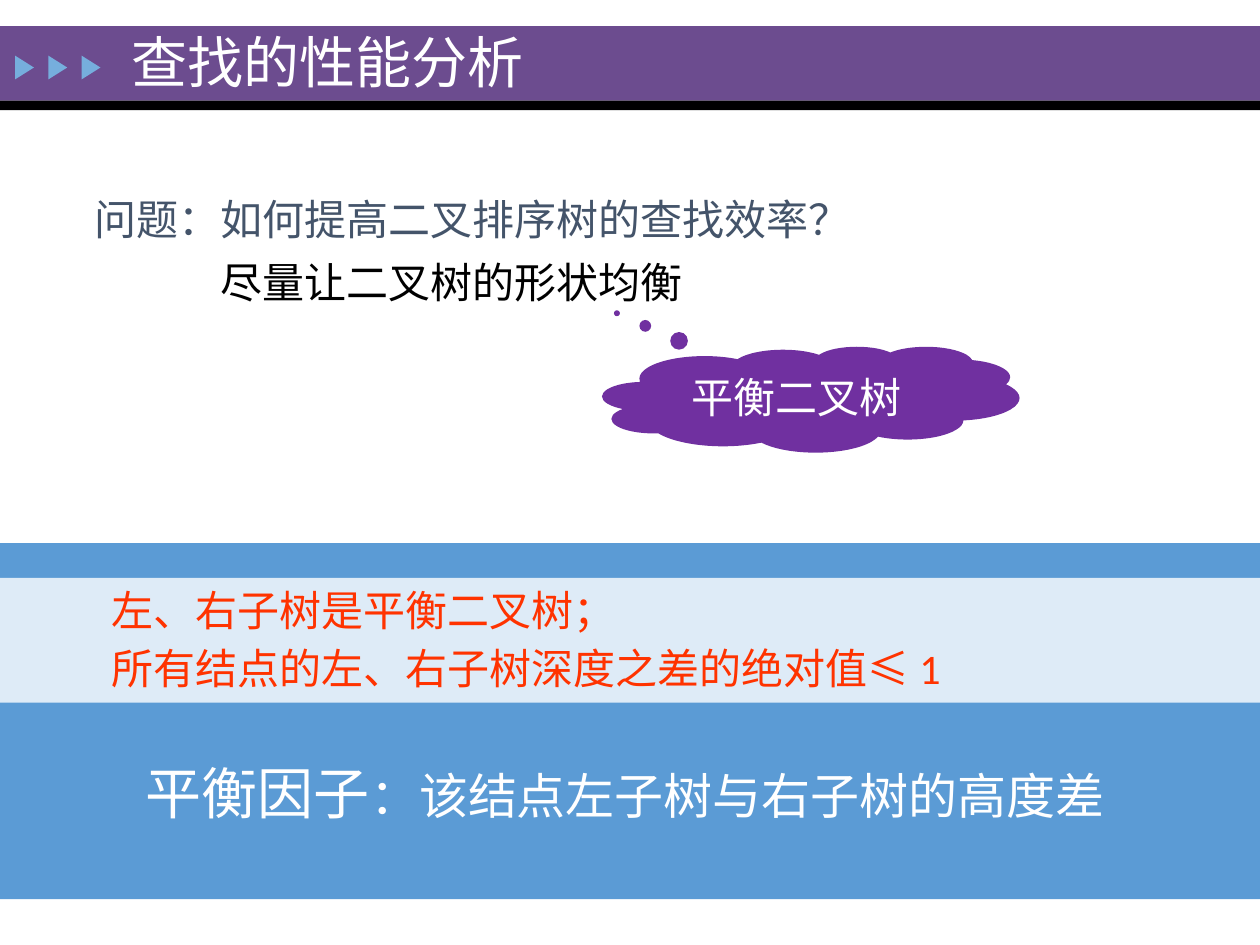
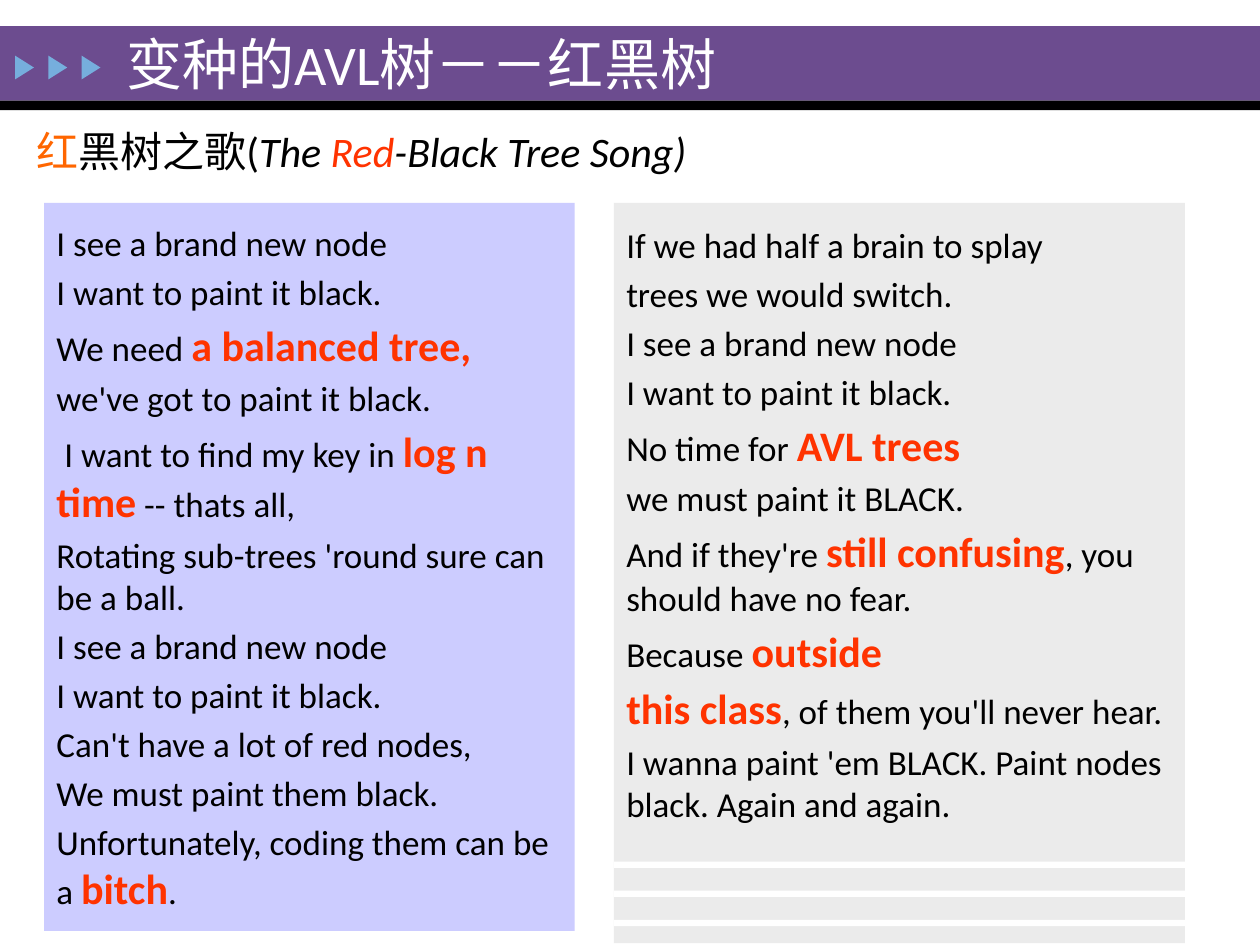
"""Build two slides on balanced search trees and red-black trees."""
from dataclasses import dataclass
from typing import Optional

from pptx import Presentation
from pptx.dml.color import RGBColor
from pptx.enum.shapes import MSO_SHAPE
from pptx.enum.text import MSO_ANCHOR, MSO_AUTO_SIZE, PP_ALIGN
from pptx.util import Pt

RECT = MSO_SHAPE.RECTANGLE
ARROW = MSO_SHAPE.ISOSCELES_TRIANGLE
CLOUD = MSO_SHAPE.CLOUD_CALLOUT
TOP, MIDDLE = MSO_ANCHOR.TOP, MSO_ANCHOR.MIDDLE
LEFT, CENTER = PP_ALIGN.LEFT, PP_ALIGN.CENTER
FIXED = MSO_AUTO_SIZE.NONE
TITLE_ONLY = 5
FONT = "Calibri"
COLORS = {
    "white": "FFFFFF", "black": "000000", "purple": "6C4C8F",
    "arrow": "76AEDD", "blue": "5B9BD5", "pale": "DEEBF7",
    "cloud": "7030A0", "slate": "44546A", "red": "FF3300",
    "orange": "FF6600", "lilac": "CCCCFF", "gray": "EBEBEB",
}


@dataclass(frozen=True)
class Box:
    """A frame in points."""
    left: float
    top: float
    width: float
    height: float


@dataclass(frozen=True)
class Style:
    """The look of a stretch of text."""
    size: float
    color: str
    bold: bool = False
    italic: bool = False


@dataclass(frozen=True)
class Run:
    """A stretch of text in one style."""
    text: str
    style: Style


@dataclass(frozen=True)
class Para:
    """A paragraph with its spacing and indents."""
    runs: list[Run]
    before: float = 0
    margin: float = 0
    indent: float = 0
    align: PP_ALIGN = LEFT
    line: Optional[float] = None


HEAD = Style(32, "white")
PLAIN = Style(20, "black")
STRONG = Style(24, "red", bold=True)
RULE = Style(24, "red")

VERSE_ONE = [
    "I see a brand new node",
    "I want to paint it black.",
    "We need *a balanced tree,*",
    "we've got to paint it black.",
    " I want to find my key in *log n time* -- thats all,",
    "Rotating sub-trees 'round sure can be a ball.",
    "I see a brand new node",
    "I want to paint it black.",
    "Can't have a lot of red nodes,",
    "We must paint them black.",
    "Unfortunately, coding them can be a *bitch*.",
]
VERSE_TWO = [
    "If we had half a brain to splay",
    "trees we would switch.",
    "I see a brand new node",
    "I want to paint it black.",
    "No time for *AVL trees*",
    "we must paint it BLACK.",
    "And if they're *still confusing*, you should have no fear.",
    "Because *outside*",
    "*this class*, of them you'll never hear.",
    "I wanna paint 'em BLACK. Paint nodes black. Again and again.",
]


def rgb(name: str) -> RGBColor:
    """Look up a named colour."""
    return RGBColor.from_string(COLORS[name])


def set_font(font, style: Style) -> None:
    """Apply a style to a font."""
    font.name = FONT
    font.size = Pt(style.size)
    font.bold = style.bold
    font.italic = style.italic
    font.color.rgb = rgb(style.color)


def write(shape, paras: list[Para], anchor: MSO_ANCHOR = TOP):
    """Fill a shape with paragraphs and return its text frame."""
    frame = shape.text_frame
    frame.word_wrap = True
    frame.auto_size = FIXED
    frame.vertical_anchor = anchor
    for num, para in enumerate(paras):
        item = frame.add_paragraph() if num else frame.paragraphs[0]
        item.alignment = para.align
        item.space_before = Pt(para.before if num else 0)
        if para.line:
            item.line_spacing = para.line
        props = item._p.get_or_add_pPr()
        props.set("marL", str(Pt(para.margin)))
        props.set("indent", str(Pt(para.indent)))
        same = len({run.style for run in para.runs}) == 1
        if same:
            set_font(item.font, para.runs[0].style)
        for run in para.runs:
            part = item.add_run()
            part.text = run.text
            if not same:
                set_font(part.font, run.style)
    return frame


def add_form(slide, kind: MSO_SHAPE, box: Box, fill: str):
    """Add a flat filled shape without an outline."""
    shape = slide.shapes.add_shape(
        kind, Pt(box.left), Pt(box.top), Pt(box.width), Pt(box.height))
    shape.shadow.inherit = False
    shape.fill.solid()
    shape.fill.fore_color.rgb = rgb(fill)
    shape.line.fill.background()
    return shape


def add_text(slide, box: Box, paras: list[Para], anchor: MSO_ANCHOR = TOP):
    """Add a text box."""
    shape = slide.shapes.add_textbox(
        Pt(box.left), Pt(box.top), Pt(box.width), Pt(box.height))
    write(shape, paras, anchor)


def add_slide(deck, title: str, left: float, top: float):
    """Add a slide with the title band, arrows and title."""
    slide = deck.slides.add_slide(deck.slide_layouts[TITLE_ONLY])
    add_form(slide, RECT, Box(0, 15, 720, 42.5), "purple")
    add_form(slide, RECT, Box(0, 57.5, 720, 5.5), "black")
    for num in range(3):
        arrow = add_form(slide, ARROW, Box(7.2 + 19 * num, 33.2, 13.6, 10.8), "arrow")
        arrow.rotation = 90
    head = slide.shapes.title
    head.left, head.top, head.width, head.height = Pt(left), Pt(top), Pt(425), Pt(40)
    write(head, [Para([Run(title, HEAD)])], MIDDLE)
    tree = slide.shapes._spTree
    tree.remove(head._element)
    tree.append(head._element)
    return slide


def verse(lines: list[str]) -> list[Para]:
    """Turn lines into paragraphs, with starred words made strong."""
    return [
        Para([Run(text, STRONG if num % 2 else PLAIN)
              for num, text in enumerate(line.split("*")) if text], before=4)
        for line in lines
    ]


def search_slide(deck) -> None:
    """Build the slide on search performance."""
    slide = add_slide(deck, "查找的性能分析", 67.7, 15)
    add_form(slide, RECT, Box(0, 310.3, 720, 203.5), "blue")
    add_text(slide, Box(46.8, 100, 635, 76), [
        Para([Run("问题：如何提高二叉排序树的查找效率？", Style(24, "slate"))], line=1.25),
        Para([Run("尽量让二叉树的形状均衡", Style(24, "black"))], margin=72, line=1.25),
    ])
    band = add_form(slide, RECT, Box(0, 330.3, 720, 71.2), "pale")
    write(band, [
        Para([Run(text, RULE)], before=4.8, margin=56.9)
        for text in ("左、右子树是平衡二叉树；", "所有结点的左、右子树深度之差的绝对值≤ 1")
    ])
    cloud = add_form(slide, CLOUD, Box(344.2, 198, 238.3, 60.5), "cloud")
    cloud.adjustments[0] = -0.465
    cloud.adjustments[1] = -0.814
    write(cloud, [Para([Run("平衡二叉树", Style(24, "white"))],
                       margin=27.4, indent=-27.4, align=CENTER)], MIDDLE)
    add_text(slide, Box(76.3, 430, 580, 46), [Para([
        Run("平衡因子", HEAD),
        Run("：该结点左子树与右子树的高度差", Style(28, "white")),
    ])])


def song_slide(deck) -> None:
    """Build the slide with the red-black tree song."""
    slide = add_slide(deck, "变种的AVL树－－红黑树", 65, 16)
    left = add_form(slide, RECT, Box(25.2, 116, 303.2, 416), "lilac")
    write(left, verse(VERSE_ONE), MIDDLE)
    add_text(slide, Box(13.7, 66.2, 551.5, 40.3), [Para([
        Run("红", Style(24, "orange")),
        Run("黑树之歌(", Style(24, "black")),
        Run("The ", Style(24, "black", italic=True)),
        Run("Red", Style(24, "red", italic=True)),
        Run("-Black Tree Song)", Style(24, "black", italic=True)),
    ])], MIDDLE)
    right = add_form(slide, RECT, Box(350.8, 116, 326.3, 423), "gray")
    frame = write(right, verse(VERSE_TWO), MIDDLE)
    frame.margin_bottom = Pt(60)
    for num in range(3):
        add_form(slide, RECT, Box(350.8, 492.3 + 16.7 * num, 326.3, 3.6), "white")


def main() -> None:
    """Build and save the deck."""
    deck = Presentation()
    deck.slide_width, deck.slide_height = Pt(720), Pt(540)
    search_slide(deck)
    song_slide(deck)
    deck.save("out.pptx")


if __name__ == "__main__":
    main()
